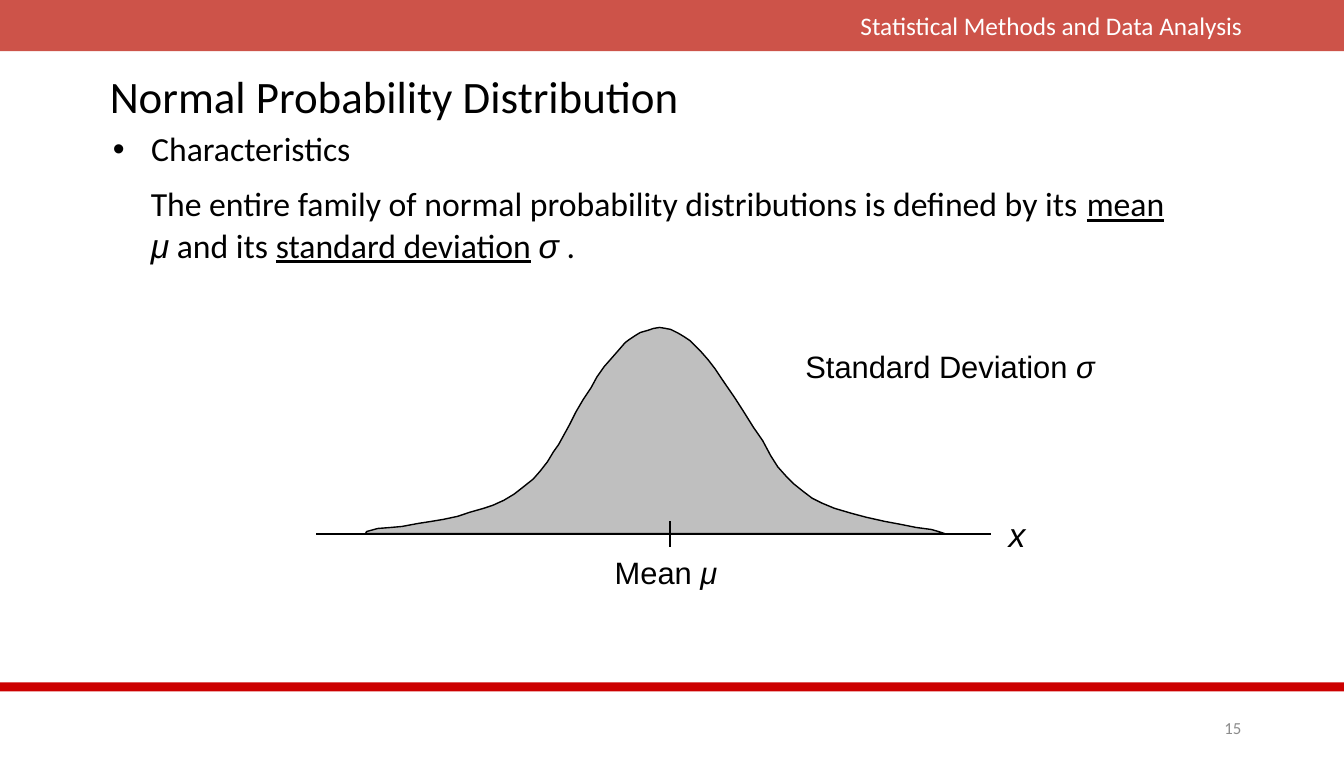
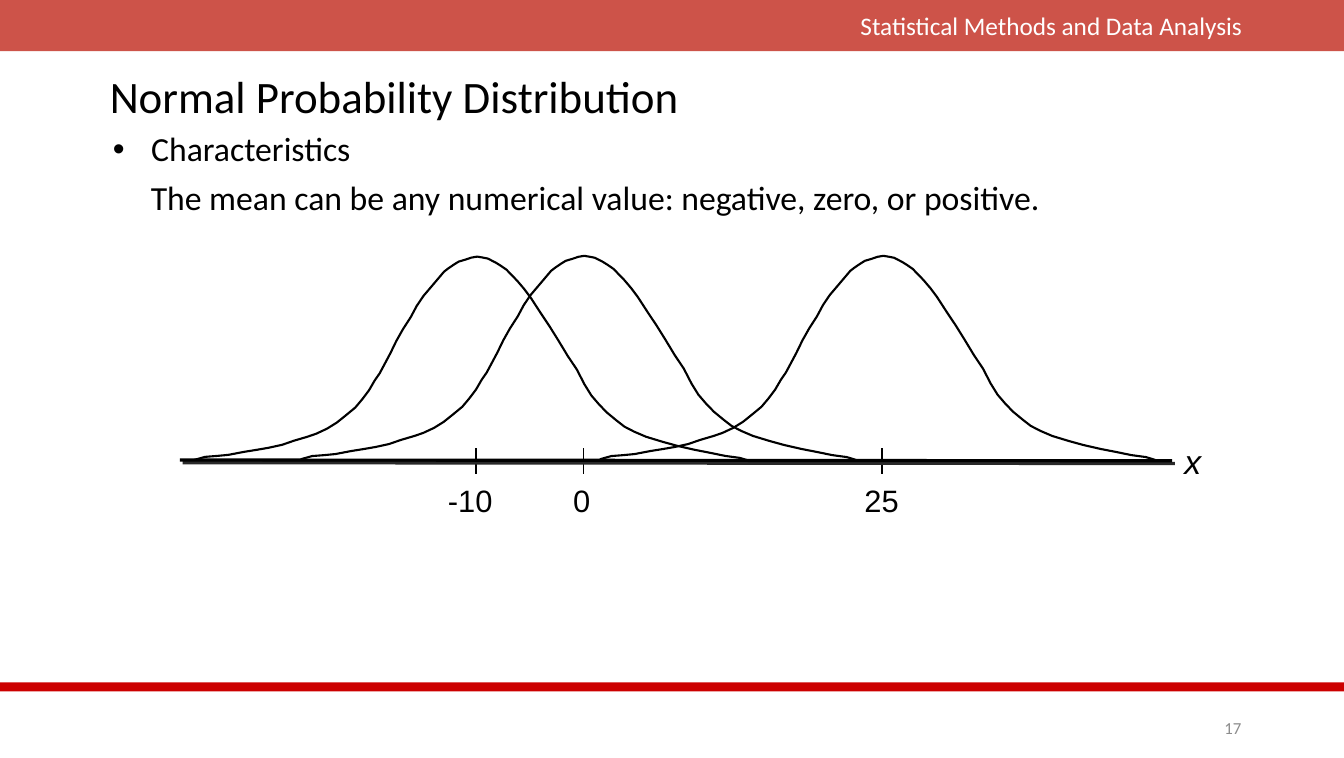
from lxml.etree import SubElement as Sub
from pptx import Presentation
from pptx.dml.color import RGBColor
from pptx.enum.shapes import MSO_CONNECTOR as Conn, MSO_SHAPE as Shape
from pptx.enum.text import MSO_ANCHOR as Anchor, PP_ALIGN as Align
from pptx.oxml.ns import qn
from pptx.util import Cm, Pt

# Shared look
WIDE, HIGH = 33.78, 19.05
BAND, BAR, GREY, FILL = "BF2317", "CC0000", "8C8C8C", "BFBFBF"
BLACK, WHITE = "000000", "FFFFFF"
SANS, PLOT = "Calibri", "Arial"
COURSE = "Statistical Methods and Data Analysis"
TITLE = "Normal Probability Distribution"
TOPIC = "Characteristics"
TICK = 0.65

# Outline of the bell, from left foot to right foot, on a 573 by 204 grid
GRID = 573, 204
BELL = [
    (0, 204), (1, 202), (12, 199), (25, 198), (36, 197), (52, 194),
    (65, 192), (77, 190), (91, 187), (103, 183), (117, 179), (126, 176),
    (137, 171), (147, 165), (156, 158), (166, 150), (173, 142), (180, 133),
    (186, 123), (191, 116), (196, 107), (202, 96), (208, 84), (215, 72),
    (223, 60), (229, 49), (236, 39), (243, 31), (250, 23), (257, 15),
    (261, 12), (267, 8), (272, 5), (279, 3), (285, 1), (291, 0),
    (297, 1), (302, 2), (306, 4), (310, 6), (315, 9), (321, 13),
    (325, 17), (332, 24), (339, 32), (346, 41), (356, 56), (365, 69),
    (374, 83), (384, 99), (393, 112), (401, 127), (408, 138), (416, 147),
    (424, 155), (434, 163), (442, 169), (452, 174), (464, 179), (481, 184),
    (496, 188), (514, 192), (530, 195), (545, 198), (560, 200), (567, 202),
    (573, 204),
]

# Content: a run is (text, changes); a label is (runs, size, centre, top)
GREEK = {"font": PLOT, "italic": True}
SLANT = {"italic": True}
LINE = {"underline": True}
SLIDES = [
    {
        "page": "15",
        "body": [
            ("The entire family of normal probability distributions "
             "is defined by its", {}),
            (" ", {"size": 28}), ("mean", LINE), (" ", {}), ("μ", GREEK),
            (" and its ", {}), ("standard deviation", LINE), (" ", {}),
            ("σ", GREEK), (" .", {}),
        ],
        "place": (3.56, 4.01),
        "bells": [(9.19, 8.23)], "size": (14.55, 5.18),
        "fill": FILL, "weight": 1,
        "axis": (7.95, 13.41, 24.92, 13.41), "stroke": 1.5, "shade": False,
        "ticks": [16.84], "rise": 13.1,
        "labels": [
            ([("Standard Deviation ", {}), ("σ", SLANT)], 22, 23.88, 8.61),
            ([("Mean ", {}), ("μ", SLANT)], 22, 16.74, 13.79),
            ([("x", SLANT)], 24, 25.56, 12.78),
        ],
    },
    {
        "page": "17",
        "body": [("The mean can be any numerical value: negative, zero, "
                  "or positive.", {})],
        "place": (4.04, 1.83),
        "bells": [(4.86, 6.45), (7.55, 6.43), (15.07, 6.43)],
        "size": (14.05, 5.16), "fill": None, "weight": 1.5,
        "axis": (4.52, 11.56, 29.46, 11.58), "stroke": 2.25, "shade": True,
        "ticks": [11.96, 14.66, 22.17], "rise": 11.26,
        "labels": [
            ([("-10", {})], 22, 11.82, 11.99),
            ([("0", {})], 22, 14.62, 11.99),
            ([("25", {})], 22, 22.16, 11.99),
            ([("x", SLANT)], 24, 29.98, 10.95),
        ],
    },
]


def paint(color, code):
    color.rgb = RGBColor.from_string(code)


def box(slide, at, runs, size, color=BLACK, font=SANS, align=Align.LEFT,
        anchor=Anchor.TOP, wrap=True):
    frame = slide.shapes.add_textbox(*map(Cm, at)).text_frame
    frame.word_wrap, frame.vertical_anchor = wrap, anchor
    para = frame.paragraphs[0]
    para.alignment = align
    for text, change in runs:
        run = para.add_run()
        run.text = text
        face = run.font
        face.name = change.get("font", font)
        face.size = Pt(change.get("size", size))
        face.italic = change.get("italic", False)
        face.underline = change.get("underline", False)
        paint(face.color, color)
    return para


def strip(slide, top, height, code):
    shape = slide.shapes.add_shape(
        Shape.RECTANGLE, 0, Cm(top), Cm(WIDE), Cm(height))
    shape.shadow.inherit = False
    shape.line.fill.background()
    shape.fill.solid()
    paint(shape.fill.fore_color, code)
    return shape


def rule(slide, ends, weight, shade=False):
    line = slide.shapes.add_connector(Conn.STRAIGHT, *map(Cm, ends))
    line.line.width = Pt(weight)
    paint(line.line.color, BLACK)
    effect = Sub(line._element.spPr, qn("a:effectLst"))
    if shade:
        cast = Sub(effect, qn("a:outerShdw"), dist="35560", dir="2700000")
        Sub(cast, qn("a:srgbClr"), val="292929")


def bell(slide, left, top, size, fill, weight):
    pts = [(Cm(left + x * size[0] / GRID[0]), Cm(top + y * size[1] / GRID[1]))
           for x, y in BELL]
    curve = slide.shapes.build_freeform(*pts[0])
    curve.add_line_segments(pts[1:], close=True)
    shape = curve.convert_to_shape()
    shape.shadow.inherit = False
    shape.line.width = Pt(weight)
    paint(shape.line.color, BLACK)
    if fill:
        shape.fill.solid()
        paint(shape.fill.fore_color, fill)
    else:
        shape.fill.background()


def frame(slide, page):
    # Bands, course name, page number and title
    band = strip(slide, 0, 1.29, BAND)
    tint = band._element.spPr.find(".//" + qn("a:srgbClr"))
    Sub(tint, qn("a:alpha"), val="78000")
    strip(slide, 17.15, 0.23, BAR)
    box(slide, (16.93, 0.13, 14.54, 1.02), [(COURSE, {})], 18, WHITE,
        align=Align.RIGHT)
    box(slide, (29.72, 17.91, 1.73, 0.76), [(page, {})], 12, GREY,
        align=Align.RIGHT, anchor=Anchor.MIDDLE)
    title = box(slide, (2.51, 1.75, 28.73, 1.6), [(TITLE, {})], 32)
    title.line_spacing = 0.9
    # Bulleted topic
    topic = box(slide, (2.59, 3.1, 13.2, 1.3), [(TOPIC, {})], 24)
    props = topic._p.get_or_add_pPr()
    props.set("marL", str(Cm(0.96)))
    props.set("indent", str(Cm(-0.96)))
    Sub(props, qn("a:buFont"), typeface=PLOT)
    Sub(props, qn("a:buChar"), char="•")


def build(deck, data):
    slide = deck.slides.add_slide(deck.slide_layouts[6])
    frame(slide, data["page"])
    top, height = data["place"]
    box(slide, (3.54, top, 26.52, height), data["body"], 24,
        anchor=Anchor.MIDDLE)
    # Plot
    for left, peak in data["bells"]:
        bell(slide, left, peak, data["size"], data["fill"], data["weight"])
    rise = data["rise"]
    for x in data["ticks"]:
        rule(slide, (x, rise, x, rise + TICK), 1)
    rule(slide, data["axis"], data["stroke"], data["shade"])
    for runs, size, mid, top in data["labels"]:
        box(slide, (mid - 4, top, 8, 1.2), runs, size, font=PLOT,
            align=Align.CENTER, wrap=False)


def main():
    deck = Presentation()
    deck.slide_width, deck.slide_height = Cm(WIDE), Cm(HIGH)
    for data in SLIDES:
        build(deck, data)
    deck.save("out.pptx")


if __name__ == "__main__":
    main()
